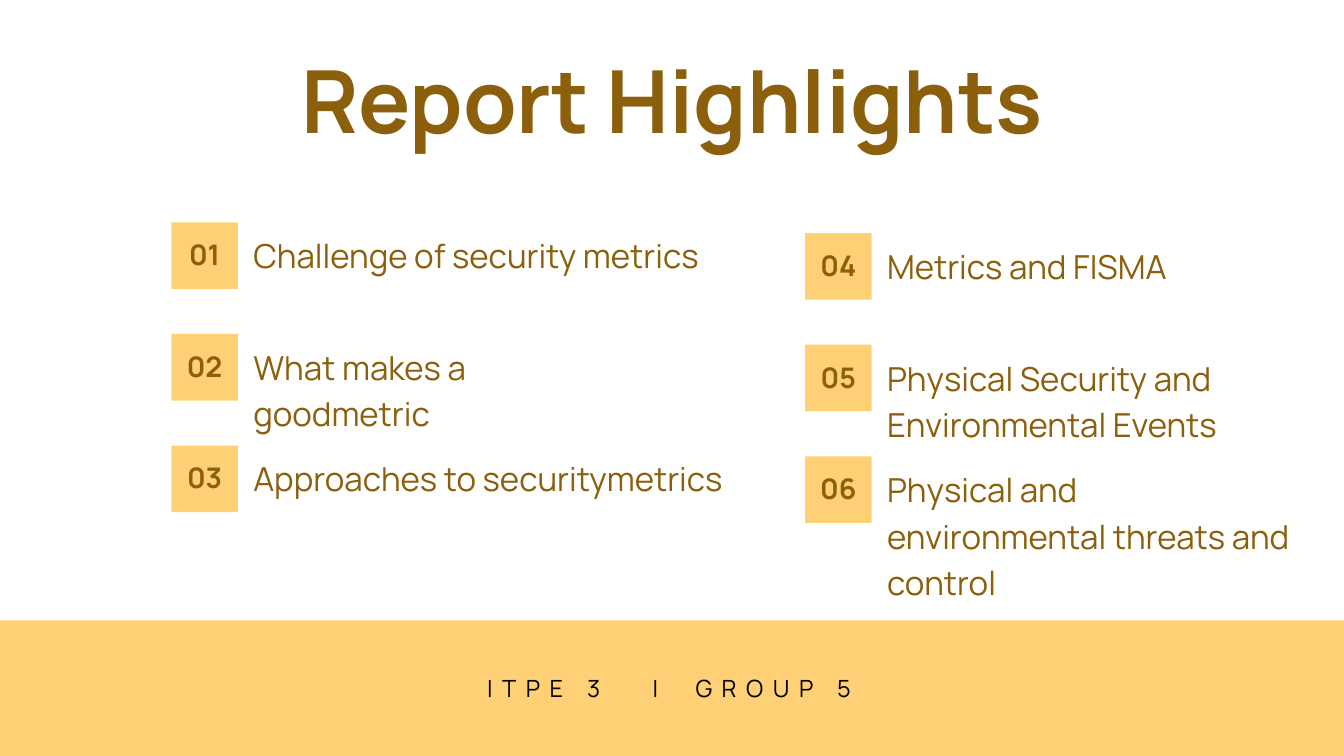
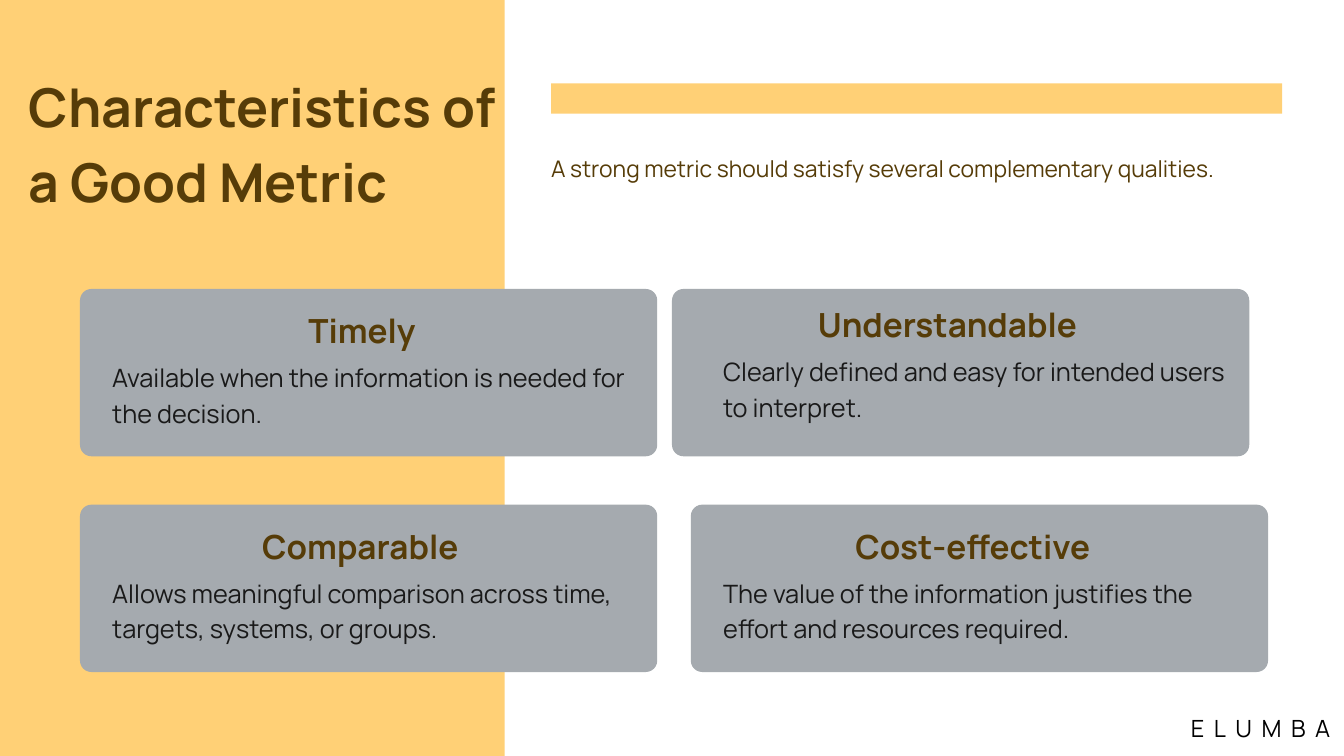
"""Build the report highlights and good metric slides."""
from dataclasses import dataclass

from lxml import etree
from pptx import Presentation
from pptx import util as u
from pptx.dml.color import RGBColor
from pptx.enum import shapes, text
from pptx.oxml.ns import qn


@dataclass(frozen=True)
class Style:
    size: float
    line: float
    color: str
    bold: bool = False
    spacing: float = 0
    align: text.PP_ALIGN = text.PP_ALIGN.LEFT


class Theme:
    font = "Manrope"
    gold, gray = "FFD076", "A5AAAF"
    brown, dark, ink, black = "8B5F0B", "563C08", "191919", "000000"
    center = text.PP_ALIGN.CENTER
    main_title = Style(93.2, 130.5, brown, bold=True, align=center)
    number = Style(30.4, 42.6, brown, bold=True, align=center)
    item = Style(35.4, 49.6, brown)
    side_title = Style(57.3, 80.2, dark, bold=True)
    lead = Style(24.5, 34.3, dark)
    card_title = Style(35.6, 49.9, dark, bold=True)
    card_body = Style(27.1, 37.9, ink)
    footer = Style(25.4, 35.6, black, spacing=10.2)


SLIDE_WIDTH, SLIDE_HEIGHT = 20, 11.25

HIGHLIGHT_COLUMNS = [
    (2.55, 3.31, [
        ("01", "Challenge of security metrics", 7.41),
        ("02", "What makes a goodmetric", 5.34),
        ("03", "Approaches to securitymetrics", 8),
    ]),
    (11.98, 3.47, [
        ("04", "Metrics and FISMA", 5.34),
        ("05", "Physical Security and Environmental Events", 5.34),
        ("06", "Physical and environmental threats and control", 6.15),
    ]),
]
HIGHLIGHT_STEP, NUMBER_SIDE = 1.66, 0.99

CARDS = [
    {"title": "Timely", "body": "Available when the information is needed for the decision.",
     "corner": (1.19, 4.3), "title_at": (4.59, 4.52), "title_width": 2.28, "body_left": 1.67},
    {"title": "Understandable", "body": "Clearly defined and easy for intended users to interpret.",
     "corner": (10, 4.3), "title_at": (12.17, 4.43), "title_width": 4.25, "body_left": 10.76},
    {"title": "Comparable",
     "body": "Allows meaningful comparison across time, targets, systems, or groups.",
     "corner": (1.19, 7.51), "title_at": (3.9, 7.73), "title_width": 3.61, "body_left": 1.67},
    {"title": "Cost-effective",
     "body": "The value of the information justifies the effort and resources required.",
     "corner": (10.28, 7.51), "title_at": (12.73, 7.73), "title_width": 3.69, "body_left": 10.76},
]
CARD_WIDTH, CARD_HEIGHT, CARD_RADIUS = 8.59, 2.49, 0.17
BODY_DROP, BODY_WIDTH, BODY_HEIGHT = 0.8, 7.82, 1.56


def inches(*lengths):
    return [u.Inches(length) for length in lengths]


def write(box, words, style, wrap=True, margins=(0, 0, 0, 0), anchor=text.MSO_ANCHOR.TOP, tabs=()):
    frame = box.text_frame
    frame.auto_size = text.MSO_AUTO_SIZE.NONE
    frame.word_wrap = wrap
    frame.vertical_anchor = anchor
    (frame.margin_left, frame.margin_top,
     frame.margin_right, frame.margin_bottom) = inches(*margins)
    para = frame.paragraphs[0]
    para.text = words
    para.alignment = style.align
    para.line_spacing = u.Pt(style.line)
    para.space_before = u.Pt(0)
    if tabs:
        stops = etree.SubElement(box.element.find(".//" + qn("a:pPr")), qn("a:tabLst"))
        for stop in tabs:
            etree.SubElement(stops, qn("a:tab"), pos=str(u.Inches(stop)), algn="l")
    font = para.font
    font.name = Theme.font
    font.size = u.Pt(style.size)
    font.bold = style.bold
    font.color.rgb = RGBColor.from_string(style.color)
    if style.spacing:
        for span in para.runs:
            span.font.bold = style.bold
        for properties in box.element.iter(qn("a:rPr"), qn("a:defRPr")):
            properties.set("spc", str(round(style.spacing * 100)))


def add_text(slide, words, style, place, **options):
    write(slide.shapes.add_textbox(*inches(*place)), words, style, **options)


def add_block(slide, color, place, kind=shapes.MSO_SHAPE.RECTANGLE):
    block = slide.shapes.add_shape(kind, *inches(*place))
    block.shadow.inherit = False
    block.fill.solid()
    block.fill.fore_color.rgb = RGBColor.from_string(color)
    block.line.fill.background()
    return block


def add_banded_slide(deck, title, style, title_place, band_place):
    slide = deck.slides.add_slide(deck.slide_layouts[5])
    band = add_block(slide, Theme.gold, band_place)
    heading = slide.shapes.title
    heading.left, heading.top, heading.width, heading.height = inches(*title_place)
    write(heading, title, style)
    band.element.addnext(heading.element)
    return slide


def build_highlights(deck):
    slide = add_banded_slide(deck, "Report Highlights", Theme.main_title,
                             (1.98, 0.44, 16.05, 1.85),
                             (0, 9.23, SLIDE_WIDTH, SLIDE_HEIGHT - 9.23))
    for left, first_top, items in HIGHLIGHT_COLUMNS:
        for row, (number, topic, width) in enumerate(items):
            top = first_top + row * HIGHLIGHT_STEP
            square = add_block(slide, Theme.gold, (left, top, NUMBER_SIDE, NUMBER_SIDE))
            write(square, number, Theme.number, margins=(0.06, 0.06, 0.06, 0.18),
                  anchor=text.MSO_ANCHOR.MIDDLE)
            add_text(slide, topic, Theme.item, (left + 1.22, top + 0.1, width, 0.69))
    add_text(slide, "ITPE 3\tI\tGROUP 5", Theme.footer, (7.25, 9.96, 6.19, 0.5),
             tabs=(2.46, 3.1))


def build_characteristics(deck):
    slide = add_banded_slide(deck, "Characteristics of a Good Metric", Theme.side_title,
                             (0.43, 0.95, 7.08, 2.25), (0, 0, 7.51, SLIDE_HEIGHT))
    add_block(slide, Theme.gold, (8.2, 1.24, 10.88, 0.45))
    add_text(slide, "A strong metric should satisfy several complementary qualities.",
             Theme.lead, (8.2, 2.23, 10.88, 0.97))
    for card in CARDS:
        panel = add_block(slide, Theme.gray, (*card["corner"], CARD_WIDTH, CARD_HEIGHT),
                          shapes.MSO_SHAPE.ROUNDED_RECTANGLE)
        panel.adjustments[0] = CARD_RADIUS / CARD_HEIGHT
        add_text(slide, card["title"], Theme.card_title,
                 (*card["title_at"], card["title_width"], 0.7), wrap=False)
        add_text(slide, card["body"], Theme.card_body,
                 (card["body_left"], card["title_at"][1] + BODY_DROP, BODY_WIDTH, BODY_HEIGHT))
    add_text(slide, "ELUMBA", Theme.footer, (17.72, 10.55, 2.28, 0.5), wrap=False)


def main():
    deck = Presentation()
    deck.slide_width, deck.slide_height = inches(SLIDE_WIDTH, SLIDE_HEIGHT)
    build_highlights(deck)
    build_characteristics(deck)
    deck.save("out.pptx")


if __name__ == "__main__":
    main()
